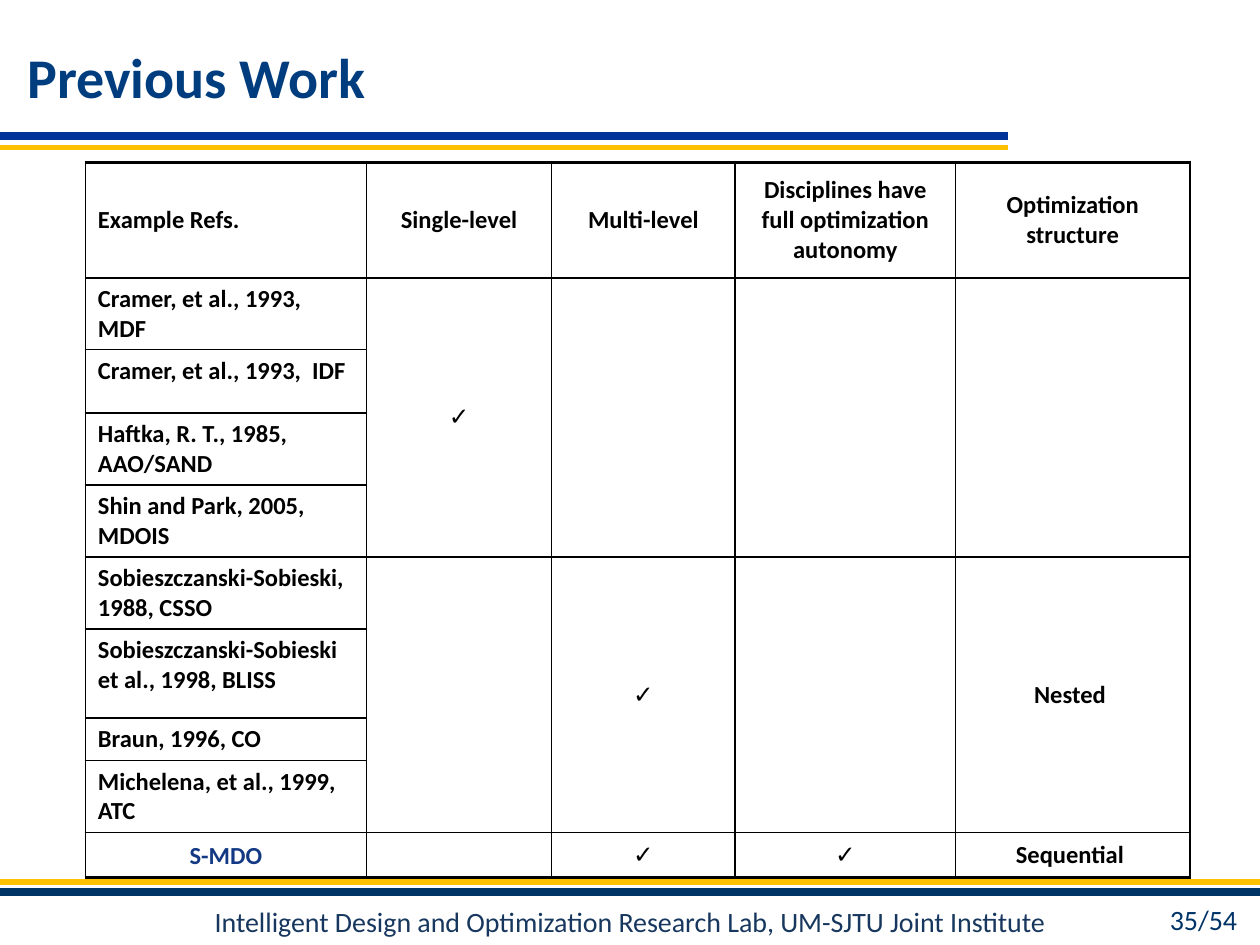
from dataclasses import dataclass

from lxml import etree
from pptx import Presentation
from pptx.dml.color import RGBColor
from pptx.enum import shapes, text
from pptx.oxml import ns
from pptx.util import Cm, Pt


@dataclass(frozen=True)
class Theme:
    font: str = "Calibri"
    title: str = "003D7F"
    footer: str = "17375E"
    blue: str = "003399"
    navy: str = "003366"
    gold: str = "FFC000"
    black: str = "000000"
    accent: str = "133984"
    title_size: int = 32
    footer_size: int = 16
    table_size: int = 14


theme = Theme()
CENTER, LEFT, RIGHT = text.PP_ALIGN.CENTER, text.PP_ALIGN.LEFT, text.PP_ALIGN.RIGHT
TOP, MIDDLE = text.MSO_ANCHOR.TOP, text.MSO_ANCHOR.MIDDLE


def write(frame, words, size, color, align, anchor, bold=False):
    frame.text = words
    frame.word_wrap = True
    frame.vertical_anchor = anchor
    paragraph = frame.paragraphs[0]
    paragraph.alignment = align
    for run in paragraph.runs:
        run.font.name = theme.font
        run.font.size = Pt(size)
        run.font.bold = bold
        run.font.color.rgb = RGBColor.from_string(color)
    if not words:  # an empty cell would otherwise stretch its row to 18 pt
        end = etree.SubElement(paragraph._p, ns.qn("a:endParaRPr"))
        end.set("sz", str(size * 100))


def set_borders(cell, widths):
    """Draw the left, right, top and bottom borders, widths in points."""
    properties = cell._tc.get_or_add_tcPr()
    for position, (side, width) in enumerate(zip("LRTB", widths)):
        line = etree.Element(ns.qn(f"a:ln{side}"), w=str(Pt(width)))
        fill = etree.SubElement(line, ns.qn("a:solidFill"))
        etree.SubElement(fill, ns.qn("a:srgbClr"), val=theme.black)
        properties.insert(position, line)


presentation = Presentation()
presentation.slide_width, presentation.slide_height = Cm(25.4), Cm(19.05)
slide = presentation.slides.add_slide(presentation.slide_layouts[6])

# Rules under the title and above the footer
for y, length, color, width in [
    (2.74, 20.32, theme.blue, 4.5),
    (2.97, 20.32, theme.gold, 3),
    (17.78, 25.4, theme.gold, 3),
    (17.98, 25.4, theme.navy, 4.5),
]:
    rule = slide.shapes.add_connector(
        shapes.MSO_CONNECTOR.STRAIGHT, Cm(0), Cm(y), Cm(length), Cm(y))
    rule.line.color.rgb = RGBColor.from_string(color)
    rule.line.width = Pt(width)
    etree.SubElement(rule._element.spPr, ns.qn("a:effectLst"))

# Title, footer and page number
for box, words, size, color, align, anchor, bold in [
    ((0.3, 0.64, 19.99, 1.78), "Previous Work",
     theme.title_size, theme.title, LEFT, MIDDLE, True),
    ((1.3, 18.11, 22.81, 0.94),
     "Intelligent Design and Optimization Research Lab, UM-SJTU Joint Institute",
     theme.footer_size, theme.footer, CENTER, TOP, False),
    ((22.78, 18.03, 2.41, 1.02), "35/54",
     theme.footer_size, theme.navy, RIGHT, MIDDLE, False),
]:
    textbox = slide.shapes.add_textbox(*map(Cm, box))
    write(textbox.text_frame, words, size, color, align, anchor, bold)

# Comparison table
rows = [
    ("Example Refs.", "Single-level", "Multi-level",
     "Disciplines have full optimization autonomy", "Optimization structure"),
    ("Cramer, et al., 1993, MDF", "✓", "", "", ""),
    ("Cramer, et al., 1993,  IDF", "", "", "", ""),
    ("Haftka, R. T., 1985, AAO/SAND", "", "", "", ""),
    ("Shin and Park, 2005, MDOIS", "", "", "", ""),
    ("Sobieszczanski-Sobieski, 1988, CSSO", "", "✓", "", "Nested "),
    ("Sobieszczanski-Sobieski et al., 1998, BLISS", "", "", "", ""),
    ("Braun, 1996, CO", "", "", "", ""),
    ("Michelena, et al., 1999, ATC", "", "", "", ""),
    ("S-MDO", "", "✓", "✓", "Sequential "),
]
column_widths = [5.67, 3.73, 3.7, 4.44, 4.73]
row_heights = [2.33, 1.45, 1.28, 1.45, 1.45, 1.45, 1.79, 0.86, 1.45, 0.9]
last = len(rows) - 1

table = slide.shapes.add_table(
    len(rows), len(column_widths), Cm(1.72), Cm(3.27),
    Cm(sum(column_widths)), Cm(sum(row_heights))).table
table.first_row = table.horz_banding = False
for column, width in zip(table.columns, column_widths):
    column.width = Cm(width)
for row, height in zip(table.rows, row_heights):
    row.height = Cm(height)

for r, row in enumerate(rows):
    for c, words in enumerate(row):
        cell = table.cell(r, c)
        is_reference = c == 0 and r < last
        is_method = c == 0 and r == last
        write(cell.text_frame, words, theme.table_size,
              theme.accent if is_method else theme.black,
              LEFT if is_reference else CENTER, TOP, bold=True)
        cell.vertical_anchor = TOP if is_reference and r > 0 else MIDDLE
        cell.fill.background()
        set_borders(cell, (1, 1, 2 if r == 0 else 1, 2 if r == last else 1))
table.cell(last, 0).text_frame.paragraphs[0].line_spacing = 1.1

# Each group of four references shares its ratings
for first in (1, 5):
    for c in range(1, len(column_widths)):
        table.cell(first, c).merge(table.cell(first + 3, c))

presentation.save("out.pptx")
